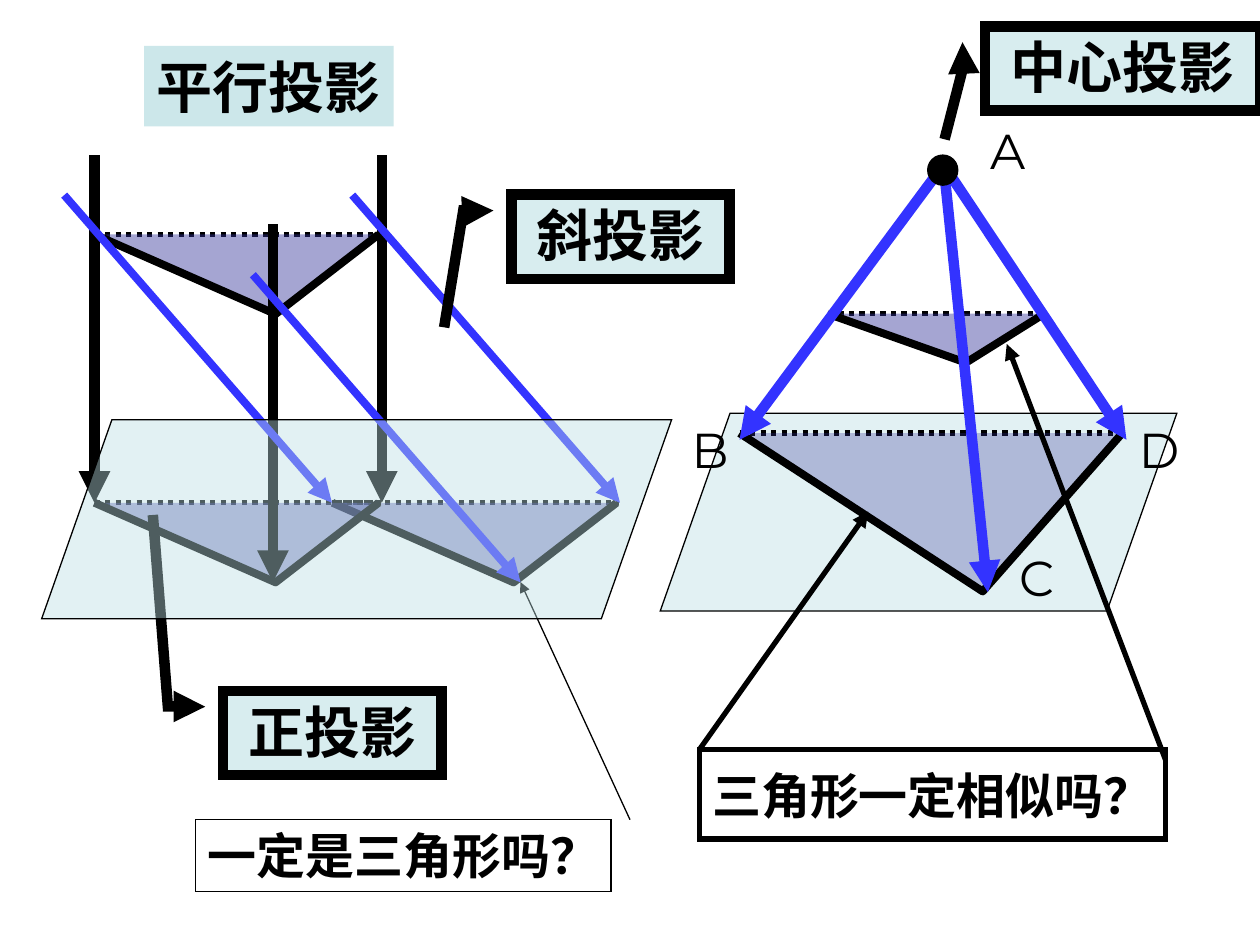
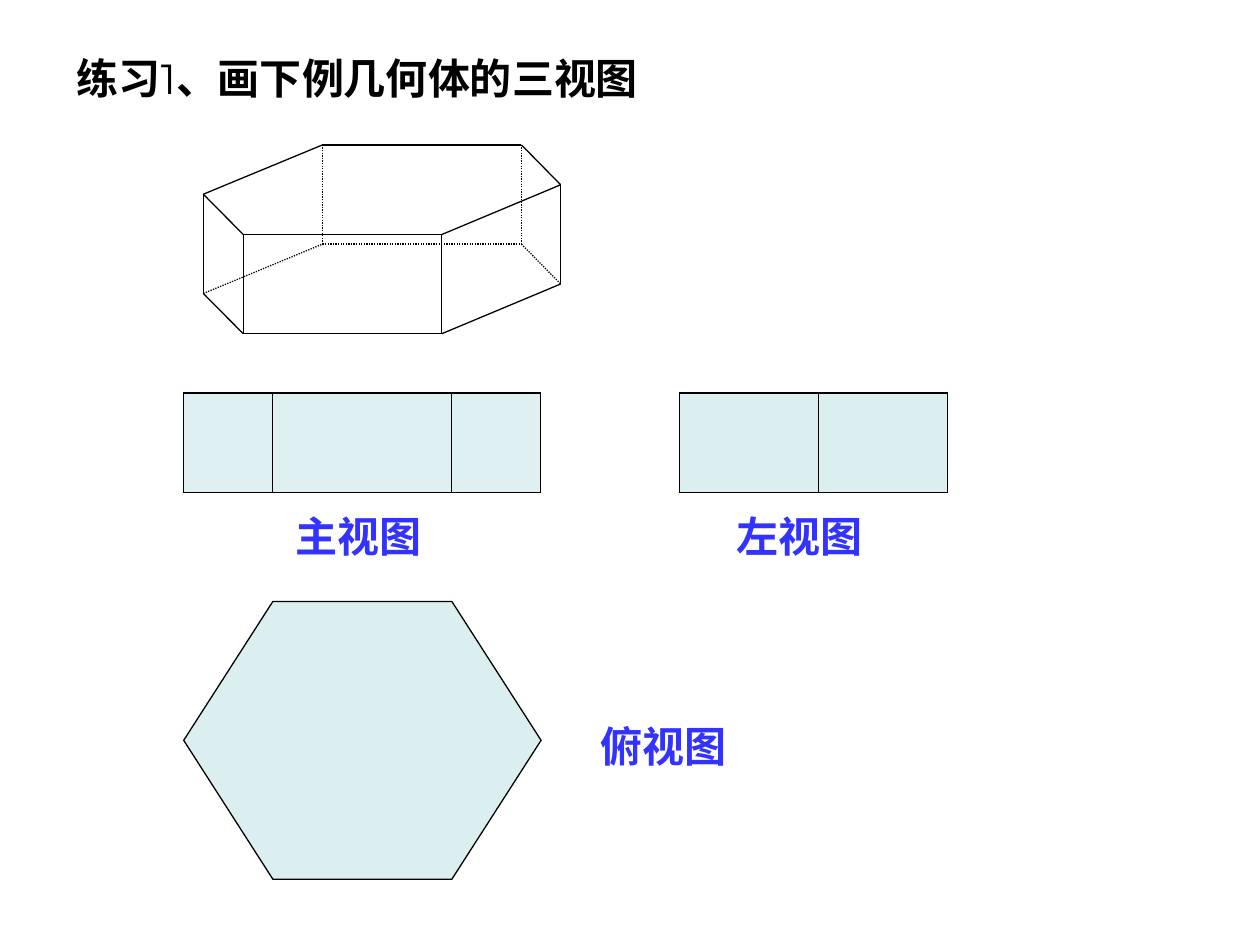
from lxml.etree import SubElement
from pptx import Presentation
from pptx.dml.color import RGBColor
from pptx.enum.dml import MSO_LINE
from pptx.enum.shapes import MSO_CONNECTOR, MSO_SHAPE as Preset
from pptx.enum.text import MSO_ANCHOR as Anchor, MSO_AUTO_SIZE, PP_ALIGN as Align
from pptx.oxml.ns import qn
from pptx.util import Pt

COLORS = {"ink": "000000", "ray": "3333FF", "pale": "BBE0E3", "face": "333399", "paper": "FFFFFF"}
SANS, SERIF = "Montserrat", "Times New Roman"
TITLE_ONLY = 5
THIN = 0.75

PARALLEL_TITLE = "平行投影"
PARALLEL_TITLE_AREA = (82.4, 26.2, 142.5, 46)
RIGHT_PLANE = (377.3, 236.2, 295.2, 113)
LEFT_PLANE = (23.8, 239.8, 360, 113.8)
PLANE_SLANT = 0.353

LAMP = (538.7, 97.2)
LAMP_RADIUS = 8.6
RAY_ORIGIN = (539.2, 94.2)
CENTRAL_TRIANGLES = [
    ((473, 179.3), 125, (79, 28), 44),
    ((422.6, 247.5), 221, (139, 90.5), 29),
]
CENTRAL_TARGETS = [(422.6, 251.3), (564.5, 338.4), (643.7, 251.3)]
POINT_LABELS = {"A": (558.7, 65.5), "D": (643.7, 236.2), "C": (575.3, 309.6), "B": (388.1, 236.2)}
POINT_LABEL_SIZE = (57, 41)

SIDE = 164
APEX = (103.5, 45.5)
PARALLEL_CORNERS = [(54, 134), (190, 287.3), (54, 287.3)]
VERTICAL_RAYS = [
    ((54, 88.7), (54, 287.3)),
    ((218.2, 88.7), (218.2, 287.3)),
    ((156, 128.2), (156, 332.6)),
]
OBLIQUE_STARTS = [(36.7, 111.5), (201.3, 111.5), (144.5, 157)]
OBLIQUE_SHIFT = (153, 175.8)

CALLOUTS = [
    ("中心投影", (563, 15.1, 157, 48.2), (-0.057, 1.339, -0.148), 0.185),
    ("斜投影", (292.3, 111.3, 124.6, 48.2), (-0.221, 1.573, -0.309), 0.185),
    ("正投影", (127.6, 394.8, 124.6, 48.2), (-0.254, -2.086, -0.323), 0.185),
]
SIMILAR_QUESTION = ("三角形一定相似吗？", (399.6, 428.4, 266.4, 51.1))
SIMILAR_POINTERS = [((399.6, 428.4), (496.1, 292.3)), ((666, 434.2), (575.3, 196.6))]
TRIANGLE_QUESTION = ("一定是三角形吗？", (111.6, 468.4, 237.6, 41))
TRIANGLE_POINTER = ((360, 468.4), (297.4, 332.6))

EXERCISE_TITLE = [("练习", True), ("1", False), ("、画下例几何体的三视图", True)]
EXERCISE_TITLE_AREA = (36.7, 26.2, 388.8, 36)
PRISM_TOP = [(184.3, 82.8), (298, 82.8), (320.4, 105.6), (252.5, 134), (139, 134), (116.2, 111)]
PRISM_HEIGHT = 56.7
HIDDEN_BASE_EDGES = {0, 1, 5}
HIDDEN_UPRIGHTS = {0, 1}
TOP_VIEW = (105, 343.7, 204.2, 158.7)
VIEW_TOP, VIEW_HEIGHT = 224.6, 56.8
ELEVATIONS = [(105, 203.8, 48, [155.7, 257.9]), (388.3, 153.2, 53, [467.8])]
VIEW_LABELS = [
    ("主视图", (162, 288, 96, 36)),
    ("左视图", (414, 288, 128, 36)),
    ("俯视图", (336.2, 408.2, 108, 36)),
]


def rgb(name):
    return RGBColor.from_string(COLORS[name])


def shift(point, offset):
    return point[0] + offset[0], point[1] + offset[1]


def place(area):
    return [Pt(value) for value in area]


def paint(shape, fill, alpha=100, line=None, width=THIN):
    if fill:
        shape.fill.solid()
        shape.fill.fore_color.rgb = rgb(fill)
        if alpha < 100:
            color = shape.element.spPr.find(qn("a:solidFill"))[0]
            SubElement(color, qn("a:alpha"), val=str(alpha * 1000))
    else:
        shape.fill.background()
    if line:
        shape.line.color.rgb = rgb(line)
        shape.line.width = Pt(width)
    else:
        shape.line.fill.background()


def add_line_detail(shape, tag, **values):
    outline = shape.element.spPr.find(qn("a:ln"))
    SubElement(outline, qn(f"a:{tag}"), **values)


def add_preset(page, preset, area, fill, alpha=100, width=THIN):
    shape = page.shapes.add_shape(preset, *place(area))
    shape.shadow.inherit = False
    paint(shape, fill, alpha, "ink", width)
    add_line_detail(shape, "miter", lim="800000")
    return shape


def add_line(page, start, end, color="ink", width=THIN, dotted=False, arrow=False):
    line = page.shapes.add_connector(MSO_CONNECTOR.STRAIGHT, *place(start + end))
    line.line.color.rgb = rgb(color)
    line.line.width = Pt(width)
    if dotted:
        line.line.dash_style = MSO_LINE.ROUND_DOT
    if arrow:
        add_line_detail(line, "tailEnd", type="triangle")
    SubElement(line.element.spPr, qn("a:effectLst"))


def write(shape, pieces, size, color="ink", font=SANS, align=Align.LEFT, anchor=Anchor.TOP,
          wrap=True, right=7.2):
    frame = shape.text_frame
    frame.word_wrap = wrap
    frame.auto_size = MSO_AUTO_SIZE.NONE
    frame.vertical_anchor = anchor
    frame.margin_left, frame.margin_right = Pt(7.2), Pt(right)
    frame.margin_top = frame.margin_bottom = Pt(3.6)
    para = frame.paragraphs[0]
    para.alignment = align
    for text, bold in pieces:
        span = para.add_run()
        span.text = text
        span.font.name = font
        span.font.size = Pt(size)
        span.font.bold = bold
        span.font.color.rgb = rgb(color)


def add_label(page, area, text, size, bold, **style):
    box = page.shapes.add_textbox(*place(area))
    write(box, [(text, bold)], size, **style)


def start_page(deck, area, pieces, size):
    page = deck.slides.add_slide(deck.slide_layouts[TITLE_ONLY])
    title = page.shapes.title
    title.left, title.top, title.width, title.height = place(area)
    write(title, pieces, size, right=0)
    return page


def add_plane(page, area):
    plane = add_preset(page, Preset.PARALLELOGRAM, area, "pale", 42)
    plane.adjustments[0] = PLANE_SLANT


def add_triangle(page, corner, side, apex, alpha):
    add_line(page, corner, shift(corner, (side, 0)), width=3, dotted=True)
    points = [corner, shift(corner, apex), shift(corner, (0.99 * side, 0))]
    first, *others = [tuple(place(point)) for point in points]
    builder = page.shapes.build_freeform(*first)
    builder.add_line_segments(others, close=False)
    triangle = builder.convert_to_shape()
    triangle.shadow.inherit = False
    paint(triangle, "face", alpha, "ink", 4.5)


def add_callout(page, text, area, bend, elbow):
    callout = add_preset(page, Preset.LINE_CALLOUT_2, area, "pale", 57, 6)
    for index, value in enumerate((0.188, -0.083, elbow, *bend)):
        callout.adjustments[index] = value
    add_line_detail(callout, "headEnd", type="triangle")
    write(callout, [(text, True)], 32, align=Align.CENTER)


def build_projections(deck):
    page = start_page(deck, PARALLEL_TITLE_AREA, [(PARALLEL_TITLE, True)], 32)
    paint(page.shapes.title, "pale", 75)

    add_plane(page, RIGHT_PLANE)
    for triangle in CENTRAL_TRIANGLES:
        add_triangle(page, *triangle)
    for target in CENTRAL_TARGETS:
        add_line(page, RAY_ORIGIN, target, "ray", 6, arrow=True)
    lamp_corner = shift(LAMP, (-LAMP_RADIUS, -LAMP_RADIUS))
    add_preset(page, Preset.OVAL, lamp_corner + (2 * LAMP_RADIUS,) * 2, "ink")
    for letter, corner in POINT_LABELS.items():
        add_label(page, corner + POINT_LABEL_SIZE, letter, 28, False)

    for corner in PARALLEL_CORNERS:
        add_triangle(page, corner, SIDE, APEX, 44)
    for start, end in VERTICAL_RAYS:
        add_line(page, start, end, width=6, arrow=True)
    for start in OBLIQUE_STARTS:
        add_line(page, start, shift(start, OBLIQUE_SHIFT), "ray", 4.5, arrow=True)
    for callout in CALLOUTS:
        add_callout(page, *callout)

    text, area = SIMILAR_QUESTION
    box = add_preset(page, Preset.RECTANGLE, area, "paper", width=3)
    write(box, [(text, True)], 28, align=Align.CENTER, anchor=Anchor.MIDDLE, wrap=False)
    for start, end in SIMILAR_POINTERS:
        add_line(page, start, end, width=3, arrow=True)

    text, area = TRIANGLE_QUESTION
    box = add_preset(page, Preset.RECTANGLE, area, None)
    write(box, [(text, True)], 28, wrap=False)
    add_line(page, *TRIANGLE_POINTER, arrow=True)
    add_plane(page, LEFT_PLANE)


def add_prism(page):
    base = [shift(point, (0, PRISM_HEIGHT)) for point in PRISM_TOP]
    for index, corner in enumerate(PRISM_TOP):
        following = (index + 1) % len(PRISM_TOP)
        add_line(page, corner, PRISM_TOP[following])
        add_line(page, base[index], base[following], dotted=index in HIDDEN_BASE_EDGES)
        add_line(page, corner, base[index], dotted=index in HIDDEN_UPRIGHTS)


def build_exercise(deck):
    page = start_page(deck, EXERCISE_TITLE_AREA, EXERCISE_TITLE, 24)
    add_prism(page)
    hexagon = add_preset(page, Preset.HEXAGON, TOP_VIEW, "pale", 51)
    hexagon.adjustments[0] = 0.321
    for left, width, alpha, dividers in ELEVATIONS:
        add_preset(page, Preset.RECTANGLE, (left, VIEW_TOP, width, VIEW_HEIGHT), "pale", alpha)
        for x in dividers:
            add_line(page, (x, VIEW_TOP), (x, VIEW_TOP + VIEW_HEIGHT))
    for text, area in VIEW_LABELS:
        add_label(page, area, text, 24, True, color="ray", font=SERIF)


def main():
    deck = Presentation()
    deck.slide_width, deck.slide_height = Pt(720), Pt(540)
    build_projections(deck)
    build_exercise(deck)
    deck.save("out.pptx")


if __name__ == "__main__":
    main()
